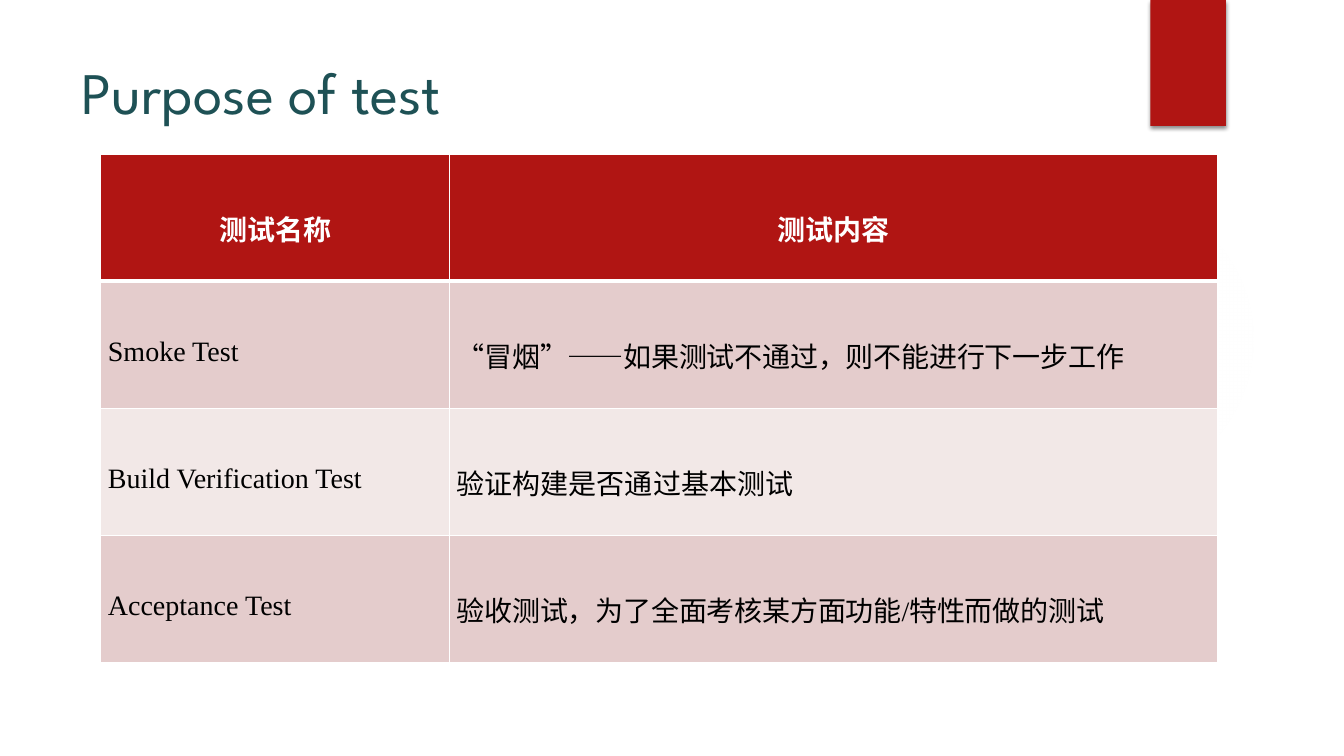
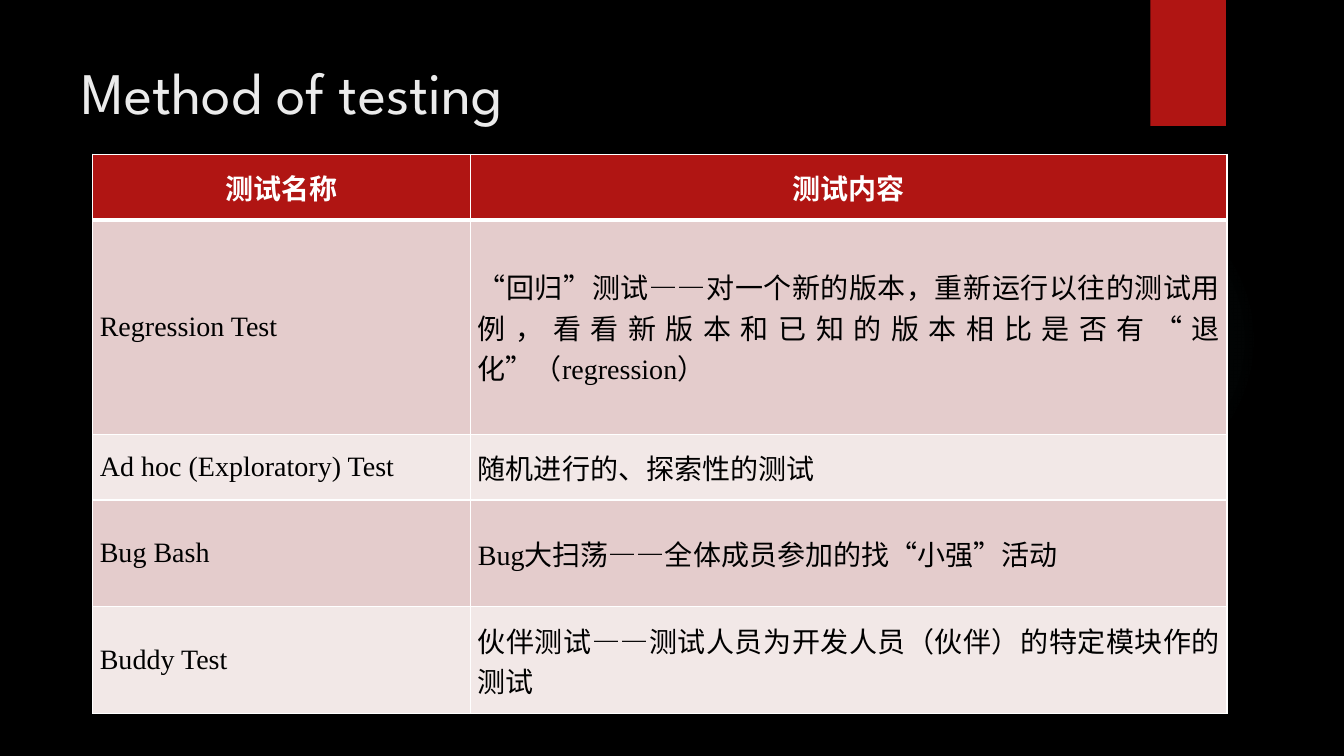
from lxml import etree
from pptx import Presentation
from pptx.dml.color import RGBColor
from pptx.enum import shapes, text
from pptx.oxml import parse_xml
from pptx.oxml.ns import nsdecls, qn
from pptx.util import Inches, Pt

RED = RGBColor(0xB0, 0x15, 0x13)
ROSE = RGBColor(0xE4, 0xCC, 0xCC)
PALE = RGBColor(0xF2, 0xE8, 0xE7)
WHITE = RGBColor(0xFF, 0xFF, 0xFF)
BLACK = RGBColor(0, 0, 0)
TEAL = RGBColor(0x1E, 0x51, 0x55)
LIGHT = RGBColor(0xEB, 0xEB, 0xEB)
SILVER = RGBColor(0xF3, 0xF3, 0xF3)
AQUA = RGBColor(0x50, 0xB9, 0xC1)

TITLE_FONT, HEADER_FONT, BODY_FONT = "League Spartan", "Arial", "Times New Roman"
HEADER = ("测试名称", "测试内容")


def dashed(before, after):
    """Runs of (text, letter spacing in points) around a tightened dash."""
    return [(before, 0), ("—", -1), ("—" + after, 0)]


SLIDES = [
    {
        "title": "Purpose of test",
        "background": WHITE, "title_color": TEAL, "glow": SILVER,
        "left": 1, "columns": (3.46, 7.62), "rows": (1.26,) * 4,
        "line_spacing": 1.5,
        "body": [
            ("Smoke Test", [("“冒烟”——如果测试不通过，则不能进行下一步工作", -0.2)]),
            ("Build Verification Test", [("验证构建是否通过基本测试", 0)]),
            ("Acceptance Test", [("验收测试，为了全面考核某方面功能/特性而做的测试", -0.2)]),
        ],
    },
    {
        "title": "Method of testing",
        "background": BLACK, "title_color": LIGHT, "glow": AQUA,
        "left": 0.92, "columns": (3.75, 7.5), "rows": (0.65, 2.13, 0.65, 1.06, 1.06),
        "line_spacing": 1.0,
        "body": [
            ("Regression Test", dashed(
                "“回归”测试",
                "对一个新的版本，重新运行以往的测试用例，看看新版本和已知的版本相比是否有“退化”（regression）")),
            ("Ad hoc (Exploratory) Test", [("随机进行的、探索性的测试", 0)]),
            ("Bug Bash", dashed("Bug大扫荡", "全体成员参加的找“小强”活动")),
            ("Buddy Test", dashed("伙伴测试", "测试人员为开发人员（伙伴）的特定模块作的测试")),
        ],
    },
]


def add_glow(slide, color):
    glow = slide.shapes.add_shape(
        shapes.MSO_SHAPE.OVAL, Inches(9.41), Inches(1.83), Inches(3.08), Inches(3.08))
    glow.shadow.inherit = False
    glow.line.fill.background()
    stops = "".join(
        f'<a:gs pos="{position * 1000}"><a:srgbClr val="{color}">'
        f'<a:alpha val="{opacity * 1000}"/></a:srgbClr></a:gs>'
        for position, opacity in ((0, 7), (36, 6), (69, 0)))
    gradient = parse_xml(
        f'<a:gradFill {nsdecls("a")} rotWithShape="1"><a:gsLst>{stops}</a:gsLst>'
        '<a:path path="circle"><a:fillToRect l="50000" t="50000" r="50000" b="50000"/>'
        '</a:path></a:gradFill>')
    glow._element.spPr.find(qn("a:prstGeom")).addnext(gradient)


def add_ribbon(slide):
    ribbon = slide.shapes.add_shape(
        shapes.MSO_SHAPE.RECTANGLE, Inches(11.41), 0, Inches(0.75), Inches(1.25))
    ribbon.shadow.inherit = False
    ribbon.fill.solid()
    ribbon.fill.fore_color.rgb = RED
    ribbon.line.fill.background()
    ribbon._element.spPr.find(qn("a:effectLst")).append(parse_xml(
        f'<a:outerShdw {nsdecls("a")} blurRad="{Pt(3)}" dist="{Pt(2)}" dir="5400000" '
        'rotWithShape="0"><a:srgbClr val="000000"><a:alpha val="45000"/></a:srgbClr>'
        '</a:outerShdw>'))


def set_borders(cell, top, bottom):
    """White borders; top and bottom widths in points, sides one point."""
    properties = cell._tc.get_or_add_tcPr()
    for index, (side, width) in enumerate(zip("LRTB", (1, 1, top, bottom))):
        border = etree.Element(qn(f"a:ln{side}"), w=str(Pt(width)))
        fill = etree.SubElement(border, qn("a:solidFill"))
        etree.SubElement(fill, qn("a:srgbClr"), val=str(WHITE))
        properties.insert(index, border)


def fill_cell(cell, runs, row, column, line_spacing):
    is_header = row == 0
    cell.fill.solid()
    cell.fill.fore_color.rgb = RED if is_header else ROSE if row % 2 else PALE
    set_borders(cell, top=3 if row == 1 else 1, bottom=3 if is_header else 1)
    cell.margin_left = cell.margin_right = Inches(0.07)
    cell.margin_top = cell.margin_bottom = 0
    cell.vertical_anchor = text.MSO_ANCHOR.MIDDLE
    paragraph = cell.text_frame.paragraphs[0]
    paragraph.alignment = text.PP_ALIGN.CENTER if is_header else text.PP_ALIGN.JUSTIFY
    paragraph.line_spacing = line_spacing
    if column == 1 and not is_header:
        paragraph.space_before = paragraph.space_after = Pt(1.5)
    for words, spacing in runs:
        run = paragraph.add_run()
        run.text = words
        run.font.size = Pt(20)
        run.font.name = HEADER_FONT if is_header else BODY_FONT
        run.font.bold = is_header
        run.font.color.rgb = WHITE if is_header else BLACK
        if spacing:
            run._r.get_or_add_rPr().set("spc", str(round(spacing * 100)))


def add_test_table(slide, content):
    columns, rows = content["columns"], content["rows"]
    table = slide.shapes.add_table(
        len(rows), len(columns), Inches(content["left"]), Inches(1.53),
        Inches(sum(columns)), Inches(sum(rows))).table
    for column, width in zip(table.columns, columns):
        column.width = Inches(width)
    for row, height in zip(table.rows, rows):
        row.height = Inches(height)
    cells = [[[(heading, 0)] for heading in HEADER]]
    cells += [[[(name, 0)], runs] for name, runs in content["body"]]
    for row, row_cells in enumerate(cells):
        for column, runs in enumerate(row_cells):
            fill_cell(table.cell(row, column), runs, row, column, content["line_spacing"])


def set_title(slide, words, color):
    frame = slide.shapes.title.text_frame
    frame.vertical_anchor = text.MSO_ANCHOR.TOP
    frame.auto_size = text.MSO_AUTO_SIZE.NONE
    paragraph = frame.paragraphs[0]
    paragraph.alignment = text.PP_ALIGN.LEFT
    run = paragraph.add_run()
    run.text = words
    run.font.size = Pt(42)
    run.font.name = TITLE_FONT
    run.font.color.rgb = color


def main():
    presentation = Presentation()
    presentation.slide_width, presentation.slide_height = Inches(13.33), Inches(7.5)
    layout = presentation.slide_layouts.get_by_name("Title Only")
    title = layout.placeholders[0]
    title.left, title.top = Inches(0.71), Inches(0.5)
    title.width, title.height = Inches(10.29), Inches(1.53)
    for content in SLIDES:
        slide = presentation.slides.add_slide(layout)
        slide.background.fill.solid()
        slide.background.fill.fore_color.rgb = content["background"]
        set_title(slide, content["title"], content["title_color"])
        add_glow(slide, content["glow"])
        add_ribbon(slide)
        add_test_table(slide, content)
    presentation.save("out.pptx")


if __name__ == "__main__":
    main()
